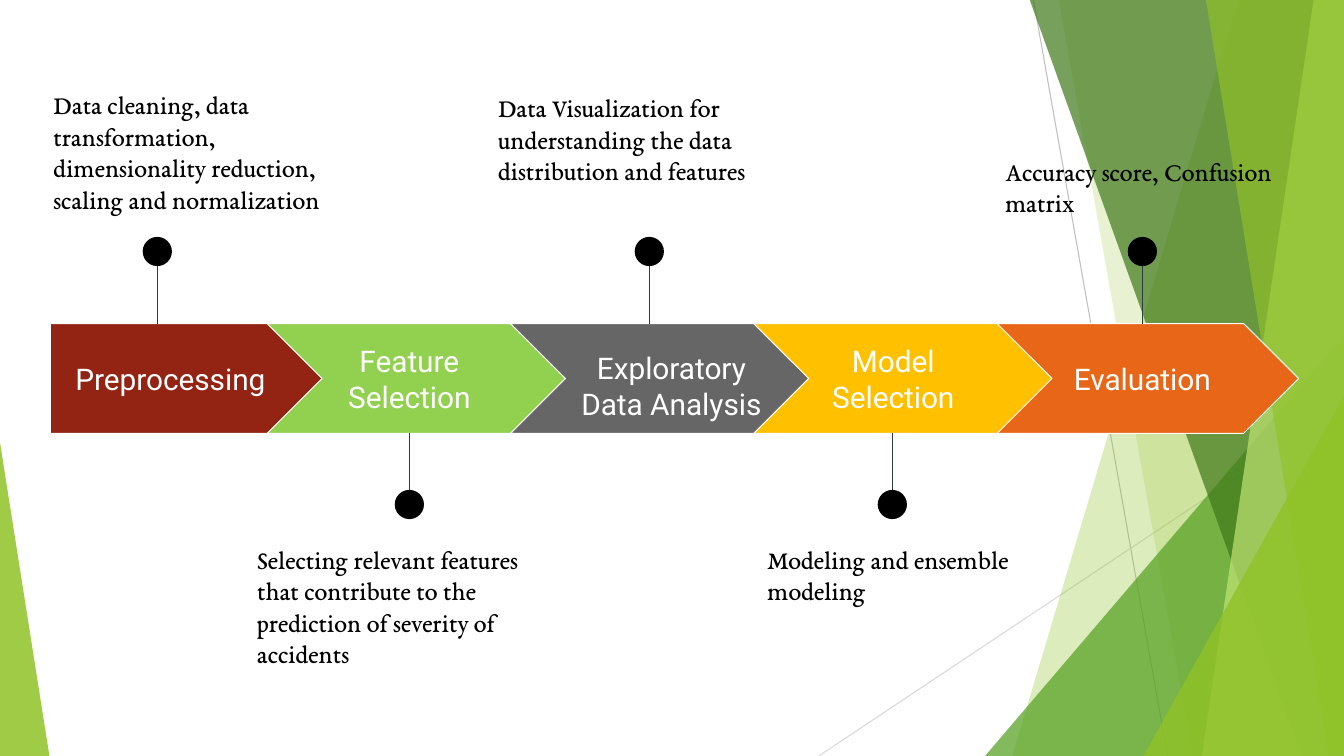
"""Build a five-step data science process slide with alternating notes."""
import pptx
import pptx.dml.color
import pptx.enum.shapes
import pptx.enum.text
import pptx.oxml.ns
import pptx.util
from lxml import etree
from pptx.util import Inches

THEME = {
    "label": {"font": "Roboto", "size": 21.3, "color": "FFFFFF"},
    "note": {"font": "EB Garamond", "size": 18.7, "color": "000000"},
    "lime": "90C226", "green": "54A021", "forest": "3F7819", "pale": "C0E474",
    "rays": ["BFBFBF", "D9D9D9"],
    "steps": ["932313", "92D050", "666666", "FFC000", "E76618"],
    "outline": "FFFFFF", "pin": "2C3C43", "dot": "000000", "line_width": 0.75,
}
SHAPES = pptx.enum.shapes.MSO_SHAPE
ALIGN = pptx.enum.text.PP_ALIGN
ANCHOR = pptx.enum.text.MSO_ANCHOR


def format_shape(shape, fill=None, opacity=100, line=None):
    """Set the fill, opacity and line of a shape or connector, without shadow."""
    if fill:
        shape.shadow.inherit = False
        shape.fill.solid()
        shape.fill.fore_color.rgb = pptx.dml.color.RGBColor.from_string(fill)
        if opacity < 100:
            color = shape.fill._xPr.find(".//" + pptx.oxml.ns.qn("a:srgbClr"))
            etree.SubElement(color, pptx.oxml.ns.qn("a:alpha"), val=str(opacity * 1000))
    if line:
        shape.line.color.rgb = pptx.dml.color.RGBColor.from_string(line)
        shape.line.width = pptx.util.Pt(THEME["line_width"])
    else:
        shape.line.fill.background()
    if not fill:
        etree.SubElement(shape._element.spPr, pptx.oxml.ns.qn("a:effectLst"))


def add_text(text, left, top, width, height, style, align=ALIGN.LEFT, anchor=ANCHOR.TOP):
    """Add a wrapped text box in one of the theme's text styles."""
    frame = slide.shapes.add_textbox(Inches(left), Inches(top), Inches(width), Inches(height)).text_frame
    frame.word_wrap = True
    frame.vertical_anchor = anchor
    frame.margin_left = frame.margin_right = frame.margin_top = frame.margin_bottom = Inches(0.13)
    paragraph = frame.paragraphs[0]
    paragraph.alignment = align
    run = paragraph.add_run()
    run.text = text
    run.font.name = style["font"]
    run.font.size = pptx.util.Pt(style["size"])
    run.font.color.rgb = pptx.dml.color.RGBColor.from_string(style["color"])


presentation = pptx.Presentation()
presentation.slide_width, presentation.slide_height = Inches(13.33), Inches(7.5)
slide = presentation.slides.add_slide(presentation.slide_layouts[6])
straight = pptx.enum.shapes.MSO_CONNECTOR.STRAIGHT

rays = [(10.25, 0, 11.58, 7.5), (13.33, 4.03, 8.12, 7.5)]
for ends, color in zip(rays, THEME["rays"]):
    ray = slide.shapes.add_connector(straight, *map(Inches, ends))
    format_shape(ray, line=color)

bands = [
    ("band", (12.28, 10.04), "lime", 30),
    ("band", (10.5, 11.83), "lime", 20),
    ("triangle", (9.77, 3.33, 3.56, 4.17, 1), "green", 72),
    ("band", (10.21, 12.91), "forest", 70),
    ("band", (13.03, 11.92), "pale", 70),
    ("band", (11.96, 13.18), "lime", 65),
    ("triangle", (11.34, 3.93, 1.99, 3.57, 1), "lime", 80),
    ("triangle", (0, 4.39, 0.49, 3.11, 0), "lime", 85),
]
for kind, geometry, color, opacity in bands:
    if kind == "band":
        top_left, bottom_left = geometry
        builder = slide.shapes.build_freeform(Inches(top_left), Inches(-0.01))
        corners = [(13.33, -0.01), (13.33, 7.5), (bottom_left, 7.5)]
        builder.add_line_segments([(Inches(x), Inches(y)) for x, y in corners], close=True)
        band = builder.convert_to_shape()
    else:
        *box, apex = geometry
        band = slide.shapes.add_shape(SHAPES.ISOSCELES_TRIANGLE, *map(Inches, box))
        band.adjustments[0] = apex
    format_shape(band, THEME[color], opacity)

arrow_top, arrow_height, arrow_pitch = 3.21, 1.09, 2.413
label_height, dot_size = 0.69, 0.29
steps = [
    ("Preprocessing", 1.69, 2.37, 3.41, 1.56, 0.4, 0.75,
     "Data cleaning, data transformation, dimensionality reduction, scaling and normalization"),
    ("Feature Selection", 4.06, 1.92, 3.41, 4.06, 2.42, 5.26,
     "Selecting relevant features that contribute to the prediction of severity of accidents"),
    ("Exploratory Data Analysis", 6.66, 2.33, 3.48, 6.44, 4.81, 0.78,
     "Data Visualization for understanding the data distribution and features"),
    ("Model Selection", 8.86, 1.92, 3.41, 8.85, 7.48, 5.26,
     "Modeling and ensemble modeling"),
    ("Evaluation", 11.33, 1.92, 3.41, 11.33, 9.84, 1.41,
     "Accuracy score, Confusion matrix"),
]
for index, (name, center, width, label_top, pin_x, note_left, note_top, note) in enumerate(steps):
    if index == 0:
        kind, arrow_left, arrow_width = SHAPES.PENTAGON, 0.5, 2.73
    else:
        kind, arrow_left, arrow_width = SHAPES.CHEVRON, 2.65 + arrow_pitch * (index - 1), 2.99
    arrow = slide.shapes.add_shape(
        kind, Inches(arrow_left), Inches(arrow_top), Inches(arrow_width), Inches(arrow_height))
    arrow.adjustments[0] = 0.5
    format_shape(arrow, THEME["steps"][index], line=THEME["outline"])
    add_text(name, center - width / 2, label_top, width, label_height, THEME["label"],
             ALIGN.CENTER, ANCHOR.MIDDLE)

    if index % 2 == 0:
        pin_start, pin_end, dot_top = 2.4, arrow_top, 2.35
    else:
        pin_start, pin_end, dot_top = 5.09, arrow_top + arrow_height, 4.86
    pin = slide.shapes.add_connector(
        straight, Inches(pin_x), Inches(pin_start), Inches(pin_x), Inches(pin_end))
    format_shape(pin, line=THEME["pin"])
    dot = slide.shapes.add_shape(
        SHAPES.OVAL, Inches(pin_x - dot_size / 2), Inches(dot_top), Inches(dot_size), Inches(dot_size))
    format_shape(dot, THEME["dot"])
    add_text(note, note_left, note_top, 3.27, 1.32, THEME["note"])

presentation.save("out.pptx")
